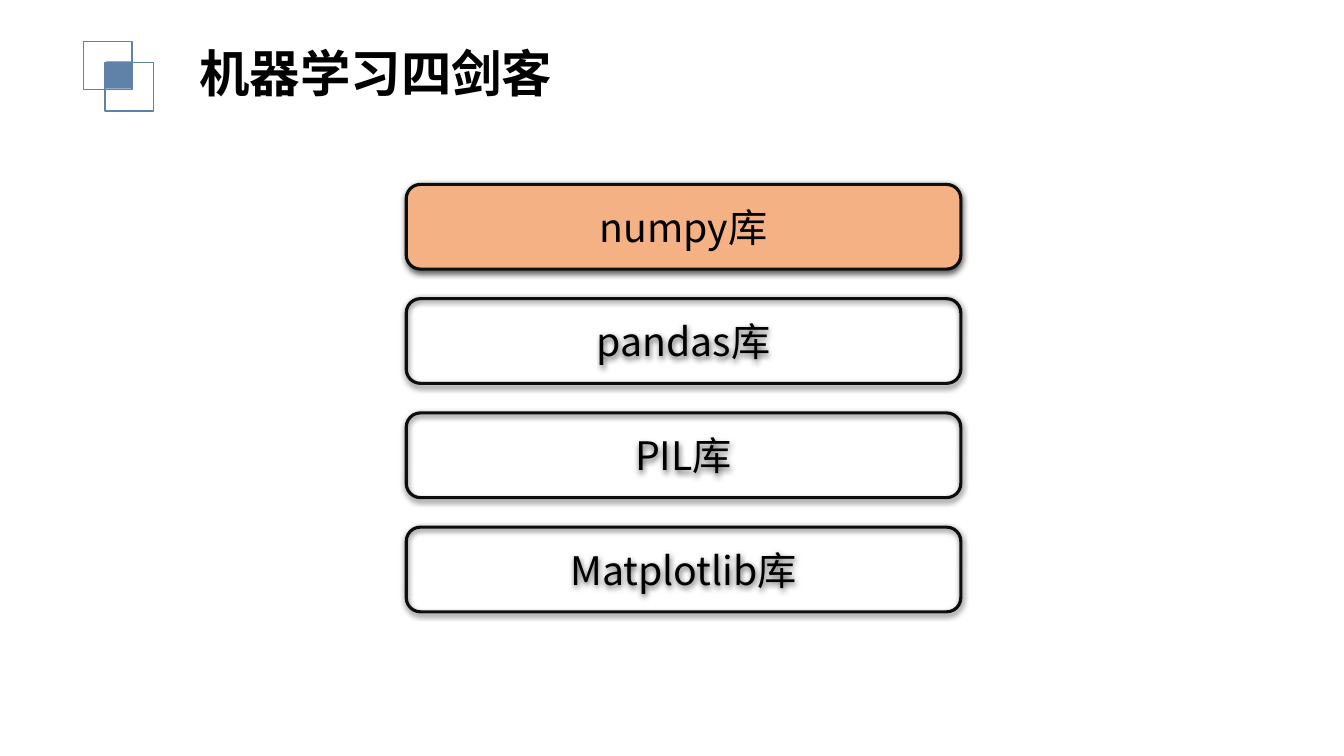
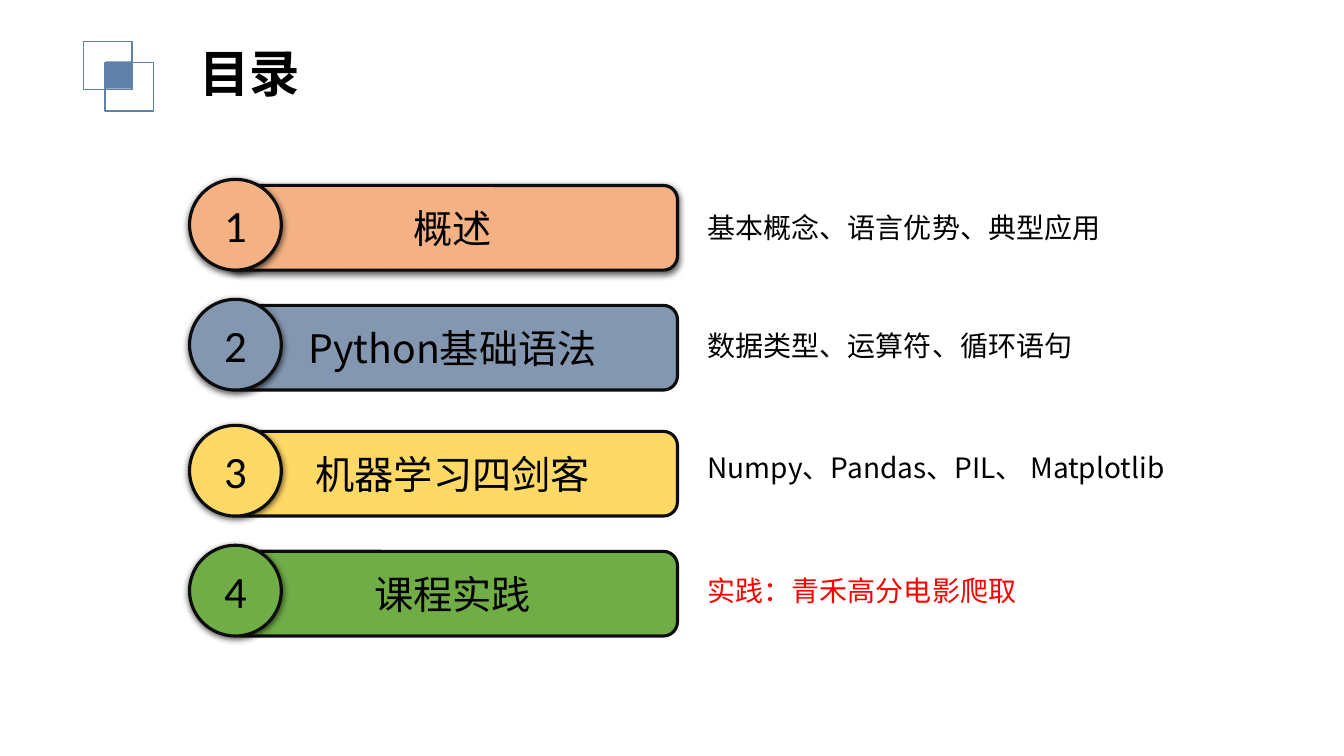
import pptx
import pptx.dml.color
import pptx.enum.shapes
import pptx.enum.text
import pptx.oxml
import pptx.oxml.ns
import pptx.util

Inches = pptx.util.Inches
Pt = pptx.util.Pt
SHAPES = pptx.enum.shapes.MSO_SHAPE
ALIGN = pptx.enum.text.PP_ALIGN
ANCHOR = pptx.enum.text.MSO_ANCHOR

BLACK, INK, RED = "000000", "0D0D0D", "FF0000"
STEEL, ORANGE, SLATE, YELLOW, GREEN = "6082A9", "F4B183", "8497B0", "FFD966", "70AD47"
CJK_FONT, NUMBER_FONT = "Noto Sans CJK SC", "Calibri"

SHADOW = (
    '<a:outerShdw xmlns:a="http://schemas.openxmlformats.org/drawingml/2006/main" '
    'blurRad="57150" dist="19050" dir="5400000" algn="ctr" rotWithShape="0">'
    '<a:srgbClr val="000000"><a:alpha val="63000"/></a:srgbClr></a:outerShdw>'
)


def color(value):
    return pptx.dml.color.RGBColor.from_string(value)


class Deck:
    """Holds the shared style and the current page."""

    def __init__(self):
        self.deck = pptx.Presentation()
        self.deck.slide_width = Inches(13.33)
        self.deck.slide_height = Inches(7.5)
        self.page = None

    def new_page(self, title):
        self.page = self.deck.slides.add_slide(self.deck.slide_layouts[6])
        # Overlapping squares beside the title
        for left, top in ((0.83, 0.41), (1.04, 0.62)):
            self.shape(SHAPES.RECTANGLE, left, top, 0.48, 0.48, line=STEEL, weight=1)
        self.shape(SHAPES.RECTANGLE, 1.05, 0.61, 0.25, 0.27, fill=STEEL)
        self.text(title, 1.88, 0.37, 4.12, 0.71, size=36, bold=True)

    def shape(self, kind, left, top, width, height, fill=None, line=None,
              weight=2.25, shadow=False):
        shape = self.page.shapes.add_shape(
            kind, Inches(left), Inches(top), Inches(width), Inches(height))
        if fill:
            shape.fill.solid()
            shape.fill.fore_color.rgb = color(fill)
        else:
            shape.fill.background()
        if line:
            shape.line.color.rgb = color(line)
            shape.line.width = Pt(weight)
        else:
            shape.line.fill.background()
        shape.shadow.inherit = False
        if shadow:
            effects = shape._element.spPr.find(pptx.oxml.ns.qn("a:effectLst"))
            effects.append(pptx.oxml.parse_xml(SHADOW))
        return shape

    def add_span(self, frame, text, size, font=CJK_FONT, ink=BLACK, bold=False,
                 align=ALIGN.LEFT):
        frame.word_wrap = True
        para = frame.paragraphs[0]
        para.alignment = align
        span = para.add_run()
        span.text = text
        span.font.size = Pt(size)
        span.font.bold = bold
        span.font.color.rgb = color(ink)
        span.font.name = font
        # East Asian typeface follows the Latin one
        east_asian = pptx.oxml.parse_xml(
            '<a:ea xmlns:a="http://schemas.openxmlformats.org/drawingml/2006/main" '
            f'typeface="{font}"/>')
        span.font._element.find(pptx.oxml.ns.qn("a:latin")).addnext(east_asian)

    def text(self, text, left, top, width, height, size=20, ink=BLACK, bold=False):
        box = self.page.shapes.add_textbox(
            Inches(left), Inches(top), Inches(width), Inches(height))
        self.add_span(box.text_frame, text, size, ink=ink, bold=bold)
        box.text_frame.auto_size = pptx.enum.text.MSO_AUTO_SIZE.SHAPE_TO_FIT_TEXT

    def label(self, kind, text, left, top, width, height, fill=None, shadow=True,
              size=28, font=CJK_FONT):
        shape = self.shape(kind, left, top, width, height, fill, INK, shadow=shadow)
        shape.text_frame.vertical_anchor = ANCHOR.MIDDLE
        self.add_span(shape.text_frame, text, size, font, align=ALIGN.CENTER)

    def bar(self, text, left, top, width, fill=None, shadow=True):
        self.label(SHAPES.ROUNDED_RECTANGLE, text, left, top, width, 0.84, fill, shadow)

    def badge(self, number, left, top, fill):
        self.label(SHAPES.OVAL, str(number), left, top, 0.91, 0.9, fill,
                   size=32, font=NUMBER_FONT)


def main():
    deck = Deck()

    # Four libraries, the current one highlighted
    deck.new_page("机器学习四剑客")
    for index, library in enumerate(("numpy库", "pandas库", "PIL库", "Matplotlib库")):
        deck.bar(library, 4.03, 1.83 + index * 3.4 / 3, 5.5,
                 fill=ORANGE if index == 0 else None)

    # Contents: chapter, fill, bar top, note, note top, note width, note colour
    deck.new_page("目录")
    chapters = (
        ("概述", ORANGE, 1.84, "基本概念、语言优势、典型应用", 2.04, 4.32, BLACK),
        ("Python基础语法", SLATE, 3.03, "数据类型、运算符、循环语句", 3.21, 4.32, BLACK),
        ("机器学习四剑客", YELLOW, 4.28, "Numpy、Pandas、PIL、 Matplotlib", 4.42, 5.01, BLACK),
        ("课程实践", GREEN, 5.47, "实践：青禾高分电影爬取", 5.64, 4.32, RED),
    )
    for number, (chapter, fill, top, note, note_top, width, ink) in enumerate(chapters, 1):
        deck.bar(chapter, 2.26, top, 4.46, fill, shadow=number == 1)
        deck.badge(number, 1.88, top - 0.06, fill)
        deck.text(note, 6.92, note_top, width, 0.44, ink=ink)

    deck.deck.save("out.pptx")


if __name__ == "__main__":
    main()
